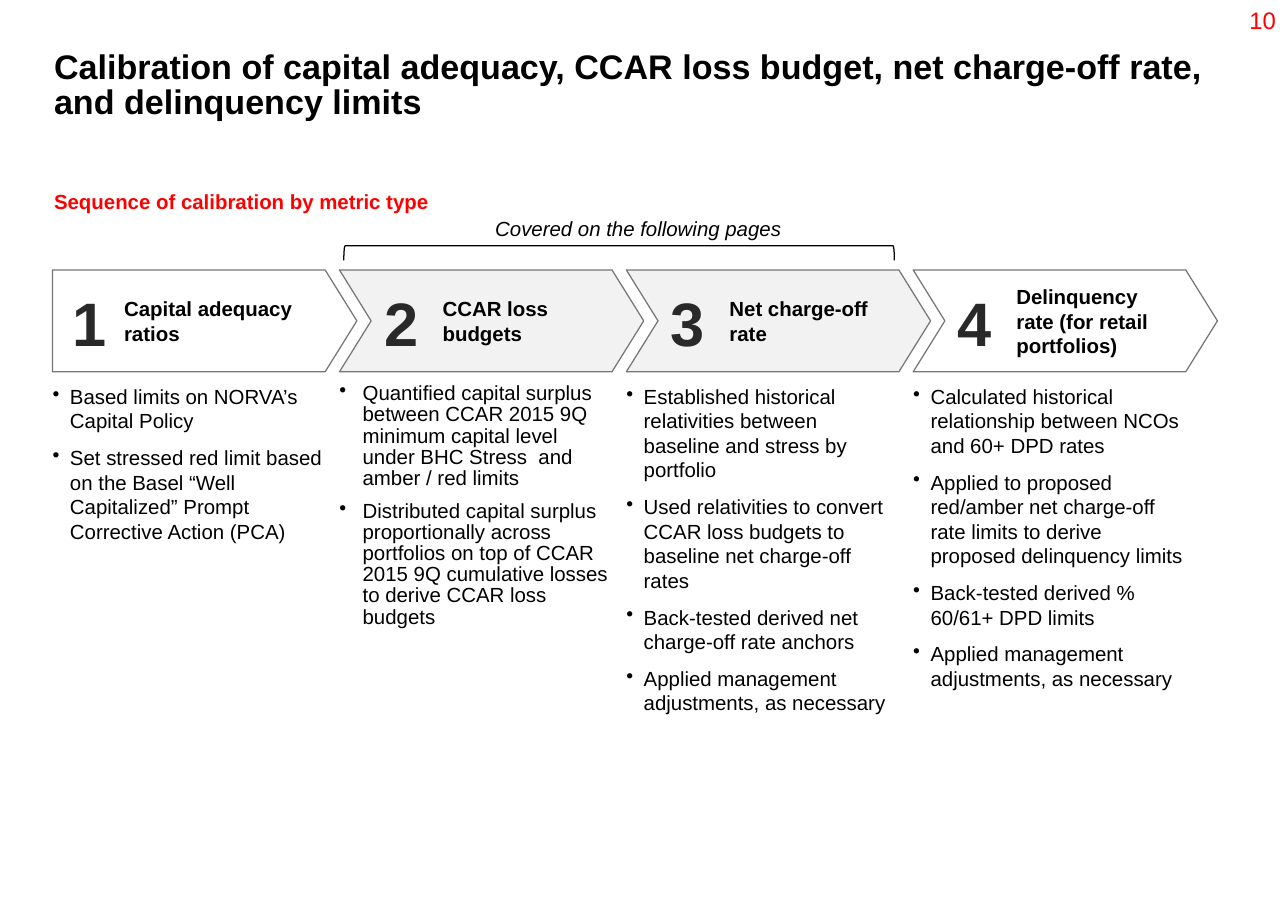
from pptx import Presentation
from pptx.dml.color import RGBColor
from pptx.enum.shapes import MSO_SHAPE as SHAPE
from pptx.enum.text import MSO_ANCHOR as ANCHOR, MSO_AUTO_SIZE as AUTO, PP_ALIGN as ALIGN
from pptx.oxml.xmlchemy import OxmlElement
from pptx.util import Cm, Pt

BLACK = RGBColor(0x00, 0x00, 0x00)
WHITE = RGBColor(0xFF, 0xFF, 0xFF)
RED = RGBColor(0xFF, 0x00, 0x00)
CHARCOAL = RGBColor(0x29, 0x29, 0x29)
GREY = RGBColor(0x77, 0x77, 0x77)
PALE = RGBColor(0xF2, 0xF2, 0xF2)

LEFT, PITCH = 1.09, 5.94
TIGHT = 0.86

# label, fill, bullet indent, line spacing, list height, bullets
STAGES = [
    ("Capital adequacy ratios", WHITE, 0.36, 1.0, 3.38, [
        "Based limits on NORVA’s Capital Policy",
        "Set stressed red limit based on the Basel “Well Capitalized” "
        "Prompt Corrective Action (PCA)"]),
    ("CCAR loss budgets", PALE, 0.48, TIGHT, 5.16, [
        "Quantified capital surplus between CCAR 2015 9Q minimum capital level "
        "under BHC Stress  and amber / red limits",
        "Distributed capital surplus proportionally across portfolios on top of "
        "CCAR 2015 9Q cumulative losses to derive CCAR loss budgets"]),
    ("Net charge-off rate", PALE, 0.36, 1.0, 8.71, [
        "Established historical relativities between baseline and stress by portfolio",
        "Used relativities to convert CCAR loss budgets to baseline net charge-off rates",
        "Back-tested derived net charge-off rate anchors",
        "Applied management adjustments, as necessary"]),
    ("Delinquency rate (for retail portfolios)", WHITE, 0.36, 1.0, 7.9, [
        "Calculated historical relationship between NCOs and 60+ DPD rates",
        "Applied to proposed red/amber net charge-off rate limits to derive "
        "proposed delinquency limits",
        "Back-tested derived % 60/61+ DPD limits",
        "Applied management adjustments, as necessary"]),
]


class Deck:
    font = "Arial"
    line_width = Pt(0.75)

    def __init__(self, width, height):
        self.prs = Presentation()
        self.prs.slide_width, self.prs.slide_height = Cm(width), Cm(height)
        self.slide = self.prs.slides.add_slide(self.prs.slide_layouts[6])

    def run(self, p, text, size=12, color=BLACK, bold=False, italic=False):
        r = p.add_run()
        r.text = text
        f = r.font
        f.name, f.size, f.bold, f.italic = self.font, Pt(size), bold, italic
        f.color.rgb = color

    def margins(self, tf, left, top, right, bottom):
        tf.margin_left, tf.margin_top = Cm(left), Cm(top)
        tf.margin_right, tf.margin_bottom = Cm(right), Cm(bottom)

    def frame(self, box, inset=True, wrap=True, anchor=ANCHOR.TOP):
        """Add an empty text box and return its text frame."""
        tf = self.slide.shapes.add_textbox(*map(Cm, box)).text_frame
        tf.word_wrap, tf.vertical_anchor = wrap, anchor
        if not inset:
            self.margins(tf, 0, 0, 0, 0)
        return tf

    def text(self, box, text, align=ALIGN.LEFT, spacing=1.0, inset=True,
             wrap=True, anchor=ANCHOR.TOP, **style):
        p = self.frame(box, inset, wrap, anchor).paragraphs[0]
        p.alignment, p.line_spacing = align, spacing
        self.run(p, text, **style)

    def bullets(self, box, items, indent, spacing):
        tf = self.frame(box, inset=False)
        tf.auto_size = AUTO.SHAPE_TO_FIT_TEXT
        for i, item in enumerate(items):
            p = tf.add_paragraph() if i else tf.paragraphs[0]
            p.line_spacing, p.space_before = spacing, Pt(7.2 if i else 0)
            ppr = p._p.get_or_add_pPr()
            ppr.set("marL", str(Cm(indent)))
            ppr.set("indent", str(-Cm(indent)))
            bullet = OxmlElement("a:buChar")
            bullet.set("char", "•")
            ppr.append(bullet)
            self.run(p, item)

    def shape(self, kind, box, line, fill=None):
        sp = self.slide.shapes.add_shape(kind, *map(Cm, box))
        sp.shadow.inherit = False
        sp.line.color.rgb, sp.line.width = line, self.line_width
        if fill is None:
            sp.fill.background()
        else:
            sp.fill.solid()
            sp.fill.fore_color.rgb = fill
        return sp

    def arrow(self, kind, box, fill, label):
        sp = self.shape(kind, box, GREY, fill)
        sp.adjustments[0] = 0.311
        tf = sp.text_frame
        tf.word_wrap, tf.vertical_anchor = True, ANCHOR.MIDDLE
        self.margins(tf, 1.48, 0.13, 0.13, 0.13)
        p = tf.paragraphs[0]
        p.alignment = ALIGN.LEFT
        self.run(p, label, bold=True)


def main():
    deck = Deck(26.67, 19.05)
    deck.text((1.12, 1.07, 24.43, 2.03),
              "Calibration of capital adequacy, CCAR loss budget, "
              "net charge-off rate, and delinquency limits",
              spacing=TIGHT, inset=False, size=20, bold=True)
    deck.text((1.12, 3.91, 10.95, 0.94), "Sequence of calibration by metric type",
              inset=False, color=RED, bold=True)

    for i, (label, fill, indent, spacing, height, items) in enumerate(STAGES):
        x = LEFT + i * PITCH
        kind = SHAPE.CHEVRON if i else SHAPE.PENTAGON
        deck.arrow(kind, (x, 5.59, 6.3, 2.11), fill, label)
        deck.text((x, 5.61, 1.88 if i else 1.37, 2.11), str(i + 1), align=ALIGN.RIGHT,
                  wrap=False, anchor=ANCHOR.MIDDLE, size=36, color=CHARCOAL, bold=True)
        deck.bullets((x, 7.95, 5.59, height), items, indent, spacing)

    bracket = deck.shape(SHAPE.RIGHT_BRACKET, (12.67, -0.46, 0.3, 11.4), BLACK)
    bracket.rotation = 270
    deck.text((9.98, 4.42, 6.48, 0.69), "Covered on the following pages",
              align=ALIGN.CENTER, spacing=TIGHT, wrap=False, italic=True)
    deck.text((25.55, 0, 1.12, 1.07), "10", align=ALIGN.RIGHT, wrap=False,
              size=14, color=RED)
    deck.prs.save("out.pptx")


if __name__ == "__main__":
    main()
